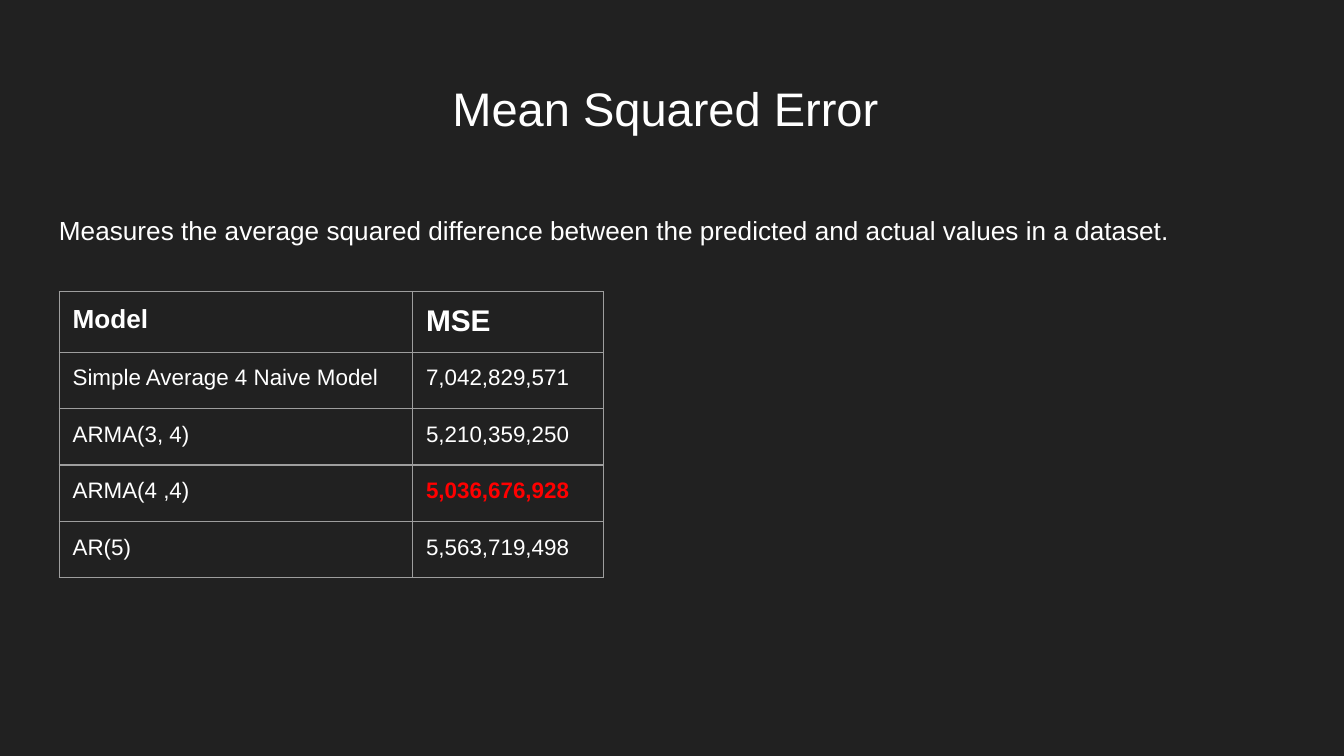
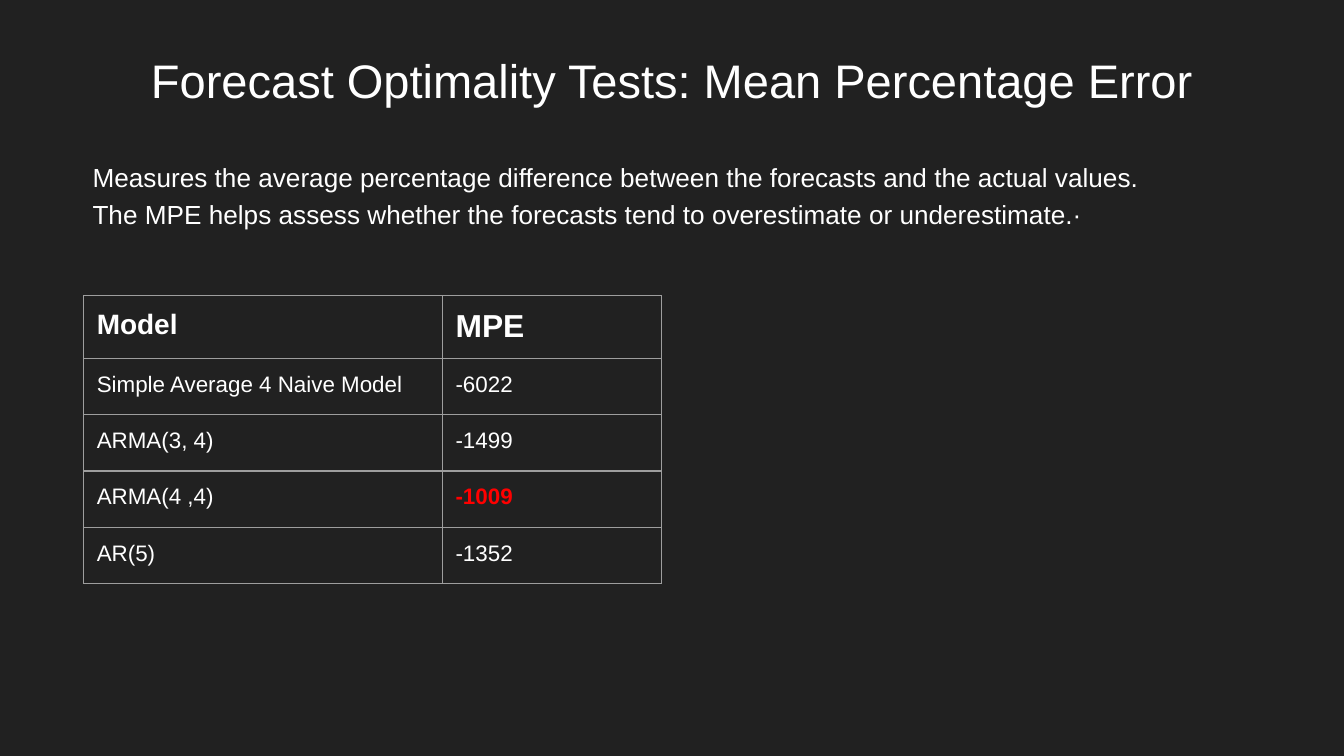
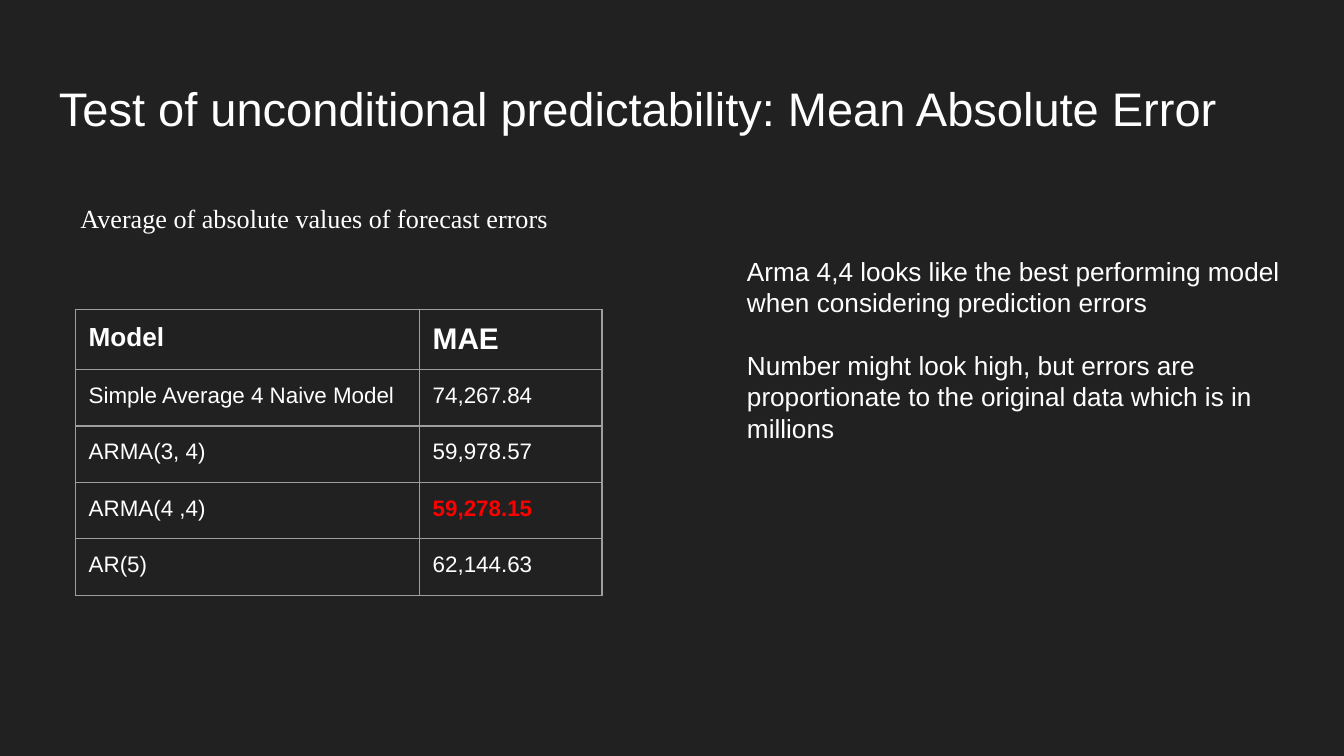
from dataclasses import dataclass

from lxml.etree import SubElement
from pptx import Presentation
from pptx.dml.color import RGBColor
from pptx.enum.text import MSO_AUTO_SIZE as Auto, PP_ALIGN as Align
from pptx.oxml.ns import qn
from pptx.util import Inches, Pt

BACK, WHITE, RED, GRAY = "212121", "FFFFFF", "FF0000", "9E9E9E"
SANS, SERIF = "Arial", "Times New Roman"
WIDE = 10
HIGH = WIDE * 9 / 16
PAD = 0.1
MODELS = ("Simple Average 4 Naive Model", "ARMA(3, 4)", "ARMA(4 ,4)", "AR(5)")
BEST = "ARMA(4 ,4)"


@dataclass(frozen=True)
class Block:
    lines: tuple[str, ...]
    left: float
    top: float
    width: float
    height: float
    size: float = 14
    font: str = SANS
    align: Align = Align.LEFT
    space: float = 1.0
    gap: float = 0
    inset: float = PAD
    hang: bool = False
    grow: bool = False


@dataclass(frozen=True)
class Grid:
    score: str
    values: tuple[str, ...]
    left: float
    top: float
    cols: tuple[float, float]
    head: float = 14


@dataclass(frozen=True)
class Page:
    title: Block
    grid: Grid
    texts: tuple[Block, ...]


def color(code: str) -> RGBColor:
    return RGBColor.from_string(code)


def style(part, size: float, font: str = SANS, code: str = WHITE, bold: bool = False) -> None:
    for run in part.runs:
        run.font.size = Pt(size)
        run.font.name = font
        run.font.bold = bold
        run.font.color.rgb = color(code)


def draw_text(slide, block: Block) -> None:
    box = slide.shapes.add_textbox(
        Inches(block.left), Inches(block.top), Inches(block.width), Inches(block.height))
    frame = box.text_frame
    frame.word_wrap = True
    frame.auto_size = Auto.SHAPE_TO_FIT_TEXT if block.grow else Auto.NONE
    frame.margin_left = frame.margin_right = frame.margin_bottom = Inches(PAD)
    frame.margin_top = Inches(block.inset)
    frame.text = "\n".join(block.lines)
    for num, part in enumerate(frame.paragraphs):
        part.alignment = block.align
        part.line_spacing = block.space
        part.space_before = Pt(block.gap if num else 0)
        if block.hang:
            props = part._p.get_or_add_pPr()
            props.set("marL", str(Inches(0.5)))
            props.set("indent", str(Inches(-0.25)))
        style(part, block.size, block.font)


def draw_edges(cell) -> None:
    props = cell._tc.get_or_add_tcPr()
    for side in ("lnL", "lnR", "lnT", "lnB"):
        line = SubElement(props, qn(f"a:{side}"), w=str(Pt(0.75)))
        fill = SubElement(line, qn("a:solidFill"))
        SubElement(fill, qn("a:srgbClr"), val=GRAY)


def draw_cell(cell, text: str, size: float, code: str, bold: bool) -> None:
    draw_edges(cell)
    cell.fill.background()
    cell.margin_left = cell.margin_right = Inches(PAD)
    cell.margin_top = cell.margin_bottom = Inches(PAD)
    cell.text_frame.text = text
    style(cell.text_frame.paragraphs[0], size, SANS, code, bold)


def draw_grid(slide, grid: Grid) -> None:
    rows = (("Model", grid.score), *zip(MODELS, grid.values))
    highs = [0.45] + [0.42] * len(MODELS)
    table = slide.shapes.add_table(
        len(rows), len(grid.cols), Inches(grid.left), Inches(grid.top),
        Inches(sum(grid.cols)), Inches(sum(highs))).table
    table.first_row = table.horz_banding = False
    for col, width in zip(table.columns, grid.cols):
        col.width = Inches(width)
    for r, (row, high) in enumerate(zip(rows, highs)):
        table.rows[r].height = Inches(high)
        for c, text in enumerate(row):
            best = c == 1 and row[0] == BEST
            size = 12 if r else grid.head + 2 * c
            draw_cell(table.cell(r, c), text, size, RED if best else WHITE, best or r == 0)


def title(text: str, top: float = 0.49, align: Align = Align.CENTER) -> Block:
    return Block((text,), 0.34, top, 9.32, 0.63, size=25.2, align=align)


PAGES = (
    Page(
        title("Mean Squared Error "),
        Grid("MSE", ("7,042,829,571", "5,210,359,250", "5,036,676,928", "5,563,719,498"),
             0.44, 2.17, (2.63, 1.42)),
        (Block(("Measures the average squared difference between the predicted "
                "and actual values in a dataset.",),
               0.34, 1.26, 9.32, 3.74, space=1.15, inset=0.3),),
    ),
    Page(
        title("Forecast Optimality Tests: Mean Percentage Error", 0.28),
        Grid("MPE", ("-6022", "-1499", "-1009", "-1352"), 0.62, 2.2, (2.67, 1.63), 15),
        (Block(("Measures the average percentage difference between the forecasts "
                "and the actual values.",
                "The MPE helps assess whether the forecasts tend to overestimate "
                "or underestimate.·"),
               0.34, 1.07, 9.32, 3.74, space=1.15, hang=True),),
    ),
    Page(
        title("Test of unconditional predictability: Mean Absolute Error", align=Align.LEFT),
        Grid("MAE", ("74,267.84", "59,978.57", "59,278.15", "62,144.63"),
             0.56, 2.3, (2.56, 1.36)),
        (Block(("Average of absolute values of forecast errors",),
               0.5, 1.37, 8.04, 0.44, font=SERIF, space=1.15, grow=True),
         Block(("Arma 4,4 looks like the best performing model when considering "
                "prediction errors",
                "Number might look high, but errors are proportionate to the "
                "original data which is in millions"),
               5.46, 1.8, 4.56, 2.32, gap=16.8, grow=True)),
    ),
)


def main() -> None:
    deck = Presentation()
    deck.slide_width, deck.slide_height = Inches(WIDE), Inches(HIGH)
    for page in PAGES:
        slide = deck.slides.add_slide(deck.slide_layouts[6])
        slide.background.fill.solid()
        slide.background.fill.fore_color.rgb = color(BACK)
        draw_text(slide, page.title)
        draw_grid(slide, page.grid)
        for block in page.texts:
            draw_text(slide, block)
    deck.save("out.pptx")


if __name__ == "__main__":
    main()
